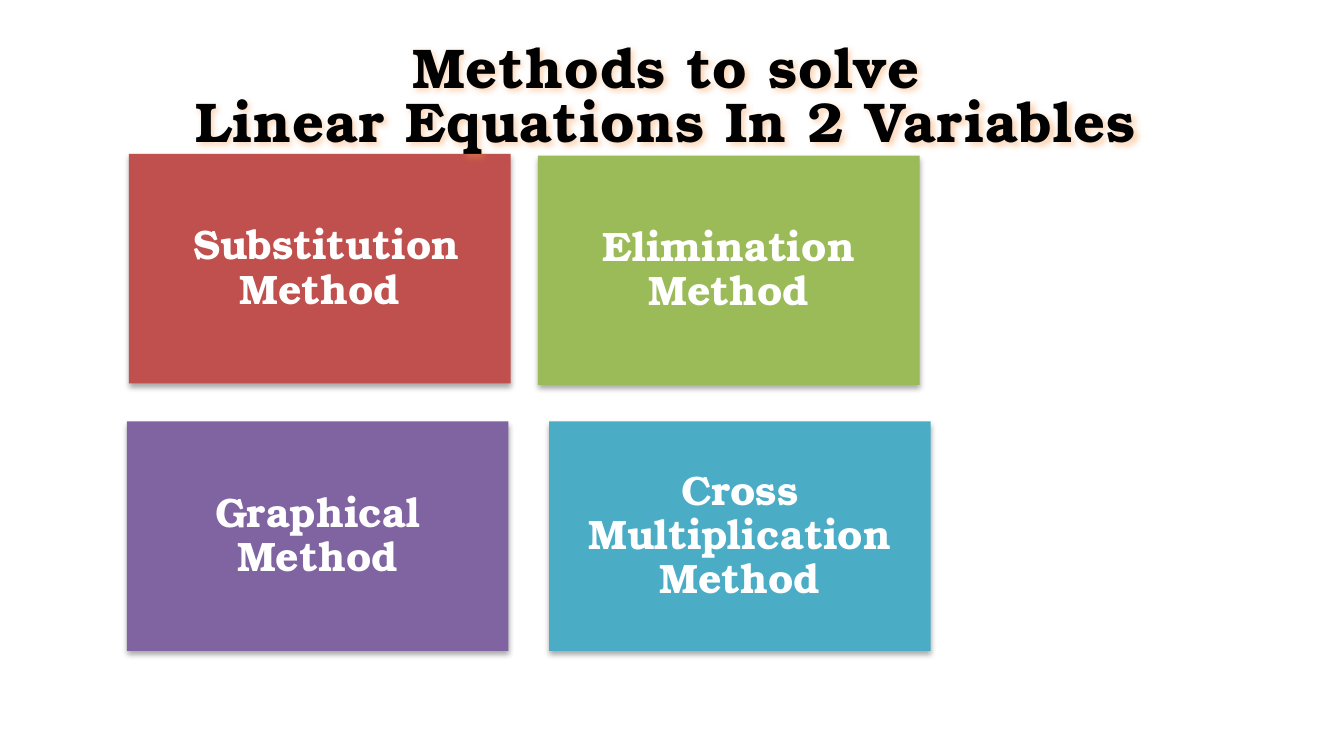
from lxml import etree
from pptx import Presentation
from pptx import util as u
from pptx.dml.color import RGBColor
from pptx.enum import shapes, text
from pptx.oxml.ns import qn

FONT = "TeX Gyre Bonum"
BLACK = RGBColor(0x00, 0x00, 0x00)
WHITE = RGBColor(0xFF, 0xFF, 0xFF)
RED = RGBColor(0xC0, 0x50, 0x4D)
GREEN = RGBColor(0x9B, 0xBB, 0x59)
PURPLE = RGBColor(0x80, 0x64, 0xA2)
BLUE = RGBColor(0x4B, 0xAC, 0xC6)
ORANGE = RGBColor(0xF7, 0x96, 0x46)

# Widescreen slide, 16 by 9
presentation = Presentation()
presentation.slide_width = u.Inches(10)
presentation.slide_height = presentation.slide_width * 9 // 16
slide = presentation.slides.add_slide(presentation.slide_layouts[6])

# One column and one row are a hundredth of the slide
column = presentation.slide_width / 100
row = presentation.slide_height / 100


def add_shadow(shape, color, opacity, blur, distance, angle):
    shape.shadow.inherit = False
    effects = shape._element.spPr.find(qn("a:effectLst"))
    shadow = etree.SubElement(
        effects, qn("a:outerShdw"), blurRad=str(u.Pt(blur)),
        dist=str(u.Pt(distance)), dir=str(angle * 60000), rotWithShape="0")
    fill = etree.SubElement(shadow, qn("a:srgbClr"), val=str(color))
    etree.SubElement(fill, qn("a:alpha"), val=str(opacity * 1000))


def write_line(paragraph, words, size, color, spacing):
    paragraph.alignment = text.PP_ALIGN.CENTER
    paragraph.line_spacing = spacing
    run = paragraph.add_run()
    run.text = words
    run.font.name = FONT
    run.font.size = u.Pt(size)
    run.font.bold = True
    run.font.color.rgb = color
    return run


# Method cards: label, fill, left column, top row
cards = [
    (" Substitution Method", RED, 9.6, 20.37),
    ("Elimination Method", GREEN, 40.03, 20.58),
    ("Graphical Method", PURPLE, 9.44, 55.75),
    ("Cross Multiplication Method", BLUE, 40.86, 55.75),
]
for label, color, left, top in cards:
    card = slide.shapes.add_shape(
        shapes.MSO_SHAPE.RECTANGLE, int(left * column), int(top * row),
        int(28.4 * column), int(30.34 * row))
    card.fill.solid()
    card.fill.fore_color.rgb = color
    card.line.fill.background()
    add_shadow(card, BLACK, 35, 3.1, 1.8, 90)
    frame = card.text_frame
    frame.word_wrap = True
    frame.vertical_anchor = text.MSO_ANCHOR.MIDDLE
    frame.margin_left = frame.margin_right = u.Inches(0.09)
    frame.margin_top = frame.margin_bottom = u.Inches(0.09)
    write_line(frame.paragraphs[0], label, 22, WHITE, 0.9)

# Title with a soft orange shadow behind its letters
title = slide.shapes.add_textbox(
    int(5 * column), int(5.16 * row), int(89.2 * column), int(16.18 * row))
add_shadow(title, ORANGE, 40, 3, 1, 45)
frame = title.text_frame
frame.word_wrap = True
frame.auto_size = text.MSO_AUTO_SIZE.SHAPE_TO_FIT_TEXT
for index, words in enumerate([" Methods to solve ", "Linear Equations In 2 Variables"]):
    paragraph = frame.add_paragraph() if index else frame.paragraphs[0]
    run = write_line(paragraph, words, 30, BLACK, 0.8)
    run.font._element.set("spc", "50")

presentation.save("out.pptx")
